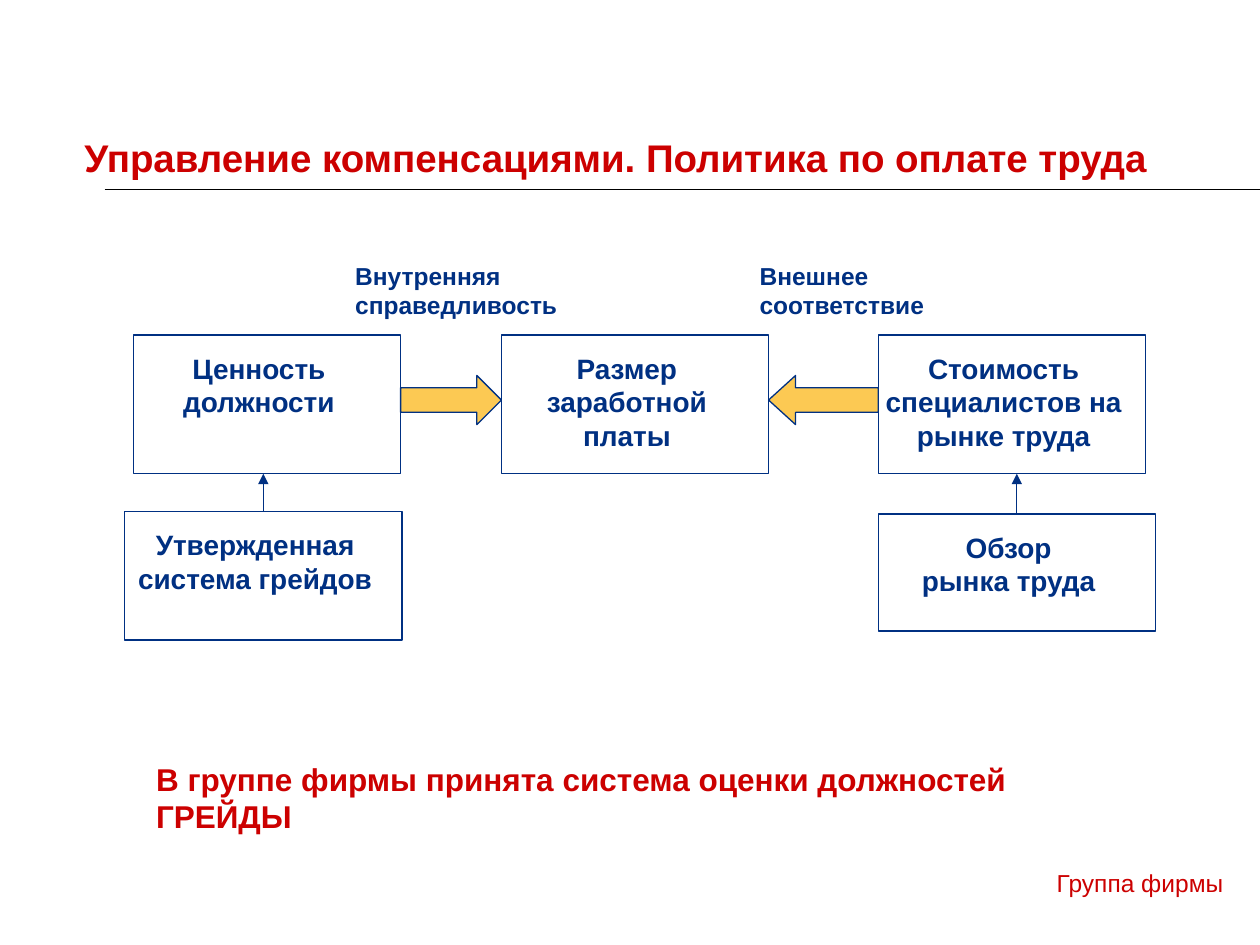
"""Build a slide on compensation management: how pay follows job value and the market."""
from lxml import etree
from pptx import Presentation
from pptx.dml.color import RGBColor
from pptx.enum.shapes import MSO_CONNECTOR, MSO_SHAPE
from pptx.enum.text import PP_ALIGN
from pptx.oxml.ns import qn
from pptx.util import Inches, Pt

COLORS = {"red": "CC0000", "navy": "003082", "gold": "FCC953", "black": "000000"}
FONT = "Arial"
INSETS = (0.1, 0.05)

TITLE = "Управление компенсациями. Политика по оплате труда"
FOOTER = "Группа фирмы"
CONCLUSION = "В группе фирмы принята система оценки должностей ГРЕЙДЫ"

CARDS = {
    "salary": (["Размер заработной платы"], 3.98, 2.66, 2.12, 1.1),
    "market": (["Стоимость специалистов на рынке труда"], 6.97, 2.66, 2.12, 1.1),
    "value": (["Ценность должности"], 1.06, 2.66, 2.12, 1.1),
    "grades": (["Утвержденная система грейдов"], 0.99, 4.06, 2.2, 1.02),
    "survey": (["Обзор", "рынка труда"], 6.97, 4.08, 2.2, 0.93),
}
BLOCK_ARROWS = [
    (MSO_SHAPE.RIGHT_ARROW, "value", "salary", 0.5),
    (MSO_SHAPE.LEFT_ARROW, "salary", "market", 0.55),
]
CAPTIONS = [
    (["Внутренняя", "справедливость"], 2.72, 1.81),
    (["Внешнее", "соответствие"], 5.93, 1.52),
]
SUPPORTS = [("grades", "value"), ("survey", "market")]


def color(name):
    return RGBColor.from_string(COLORS[name])


def add_text(page, lines, place, size, shade, bold=True, align=PP_ALIGN.LEFT,
             wrap=True, insets=INSETS, spacing=None):
    box = page.shapes.add_textbox(*map(Inches, place))
    frame = box.text_frame
    frame.word_wrap = wrap
    frame.margin_left = frame.margin_right = Inches(insets[0])
    frame.margin_top = frame.margin_bottom = Inches(insets[1])
    frame.text = "\n".join(lines)
    for paragraph in frame.paragraphs:
        paragraph.alignment = align
        paragraph.line_spacing = spacing
        font = paragraph.font
        font.name, font.size, font.bold = FONT, Pt(size), bold
        font.color.rgb = color(shade)


def add_outlined(page, kind, place, fill=None):
    shape = page.shapes.add_shape(kind, *map(Inches, place))
    shape.shadow.inherit = False
    if fill:
        shape.fill.solid()
        shape.fill.fore_color.rgb = color(fill)
    else:
        shape.fill.background()
    shape.line.color.rgb = color("navy")
    shape.line.width = Pt(0.75)
    return shape


def add_line(page, start, end, shade, width):
    line = page.shapes.add_connector(MSO_CONNECTOR.STRAIGHT, *map(Inches, start + end))
    line.line.color.rgb = color(shade)
    line.line.width = Pt(width)
    etree.SubElement(line._element.spPr, qn("a:effectLst"))
    return line


def add_card(page, lines, left, top, width, height):
    shape = add_outlined(page, MSO_SHAPE.RECTANGLE, (left, top, width, height))
    text_height = 0.9 if width < 2.2 and len(lines[0]) > 20 else 0.64
    add_text(page, lines, (left - 0.08, top + 0.08, width + 0.03, text_height),
             16, "navy", align=PP_ALIGN.CENTER)
    return shape


def main():
    deck = Presentation()
    deck.slide_width, deck.slide_height = Inches(10), Inches(7.5)
    page = deck.slides.add_slide(deck.slide_layouts[6])

    add_line(page, (0.83, 1.5), (10, 1.5), "black", 0.5)
    add_text(page, [FOOTER], (0.83, 6.89, 8.88, 0.5), 14, "red", bold=False,
             align=PP_ALIGN.RIGHT, insets=(0, 0))
    add_text(page, [TITLE], (0.67, 1.07, 9.21, 0.42), 22, "red",
             insets=(0, 0), spacing=Pt(26))

    shapes = {name: add_card(page, *card) for name, card in CARDS.items()}

    for kind, before, after, head in BLOCK_ARROWS:
        left = CARDS[before][1] + CARDS[before][3]
        arrow = add_outlined(page, kind, (left, 2.98, CARDS[after][1] - left, 0.39), "gold")
        arrow.adjustments[0], arrow.adjustments[1] = 0.5, head

    for lines, left, width in CAPTIONS:
        add_text(page, lines, (left, 2.02, width, 0.57), 14, "navy", wrap=False)

    for lower, upper in SUPPORTS:
        _, left, top, width, _ = CARDS[lower]
        middle = left + width / 2
        bottom = CARDS[upper][2] + CARDS[upper][4]
        line = add_line(page, (middle, top), (middle, bottom), "navy", 0.75)
        line.begin_connect(shapes[lower], 0)
        etree.SubElement(line.line._get_or_add_ln(), qn("a:tailEnd"), type="triangle")

    add_text(page, [CONCLUSION], (1.14, 5.98, 7.85, 0.4), 18, "red", wrap=False)
    deck.save("out.pptx")


if __name__ == "__main__":
    main()
